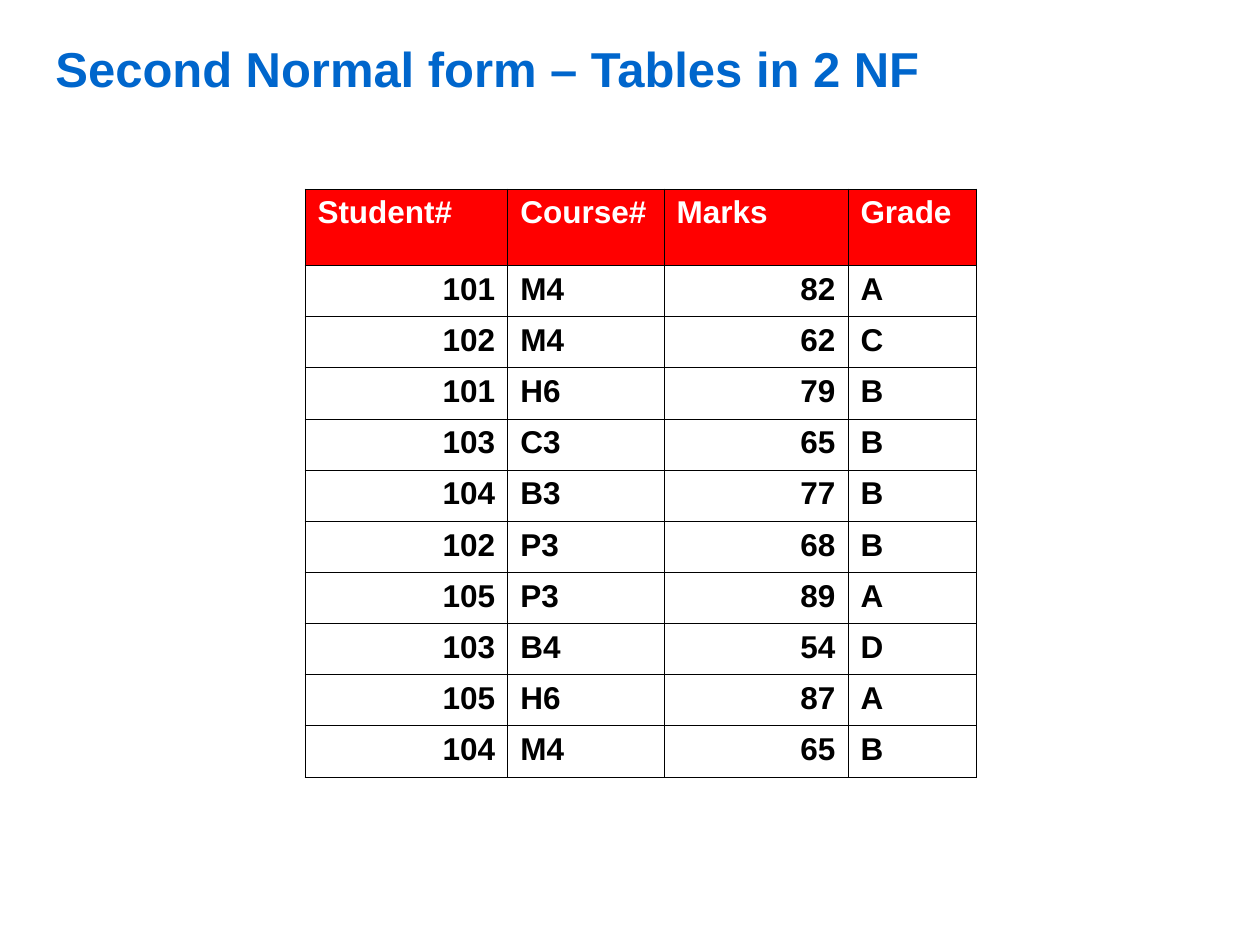
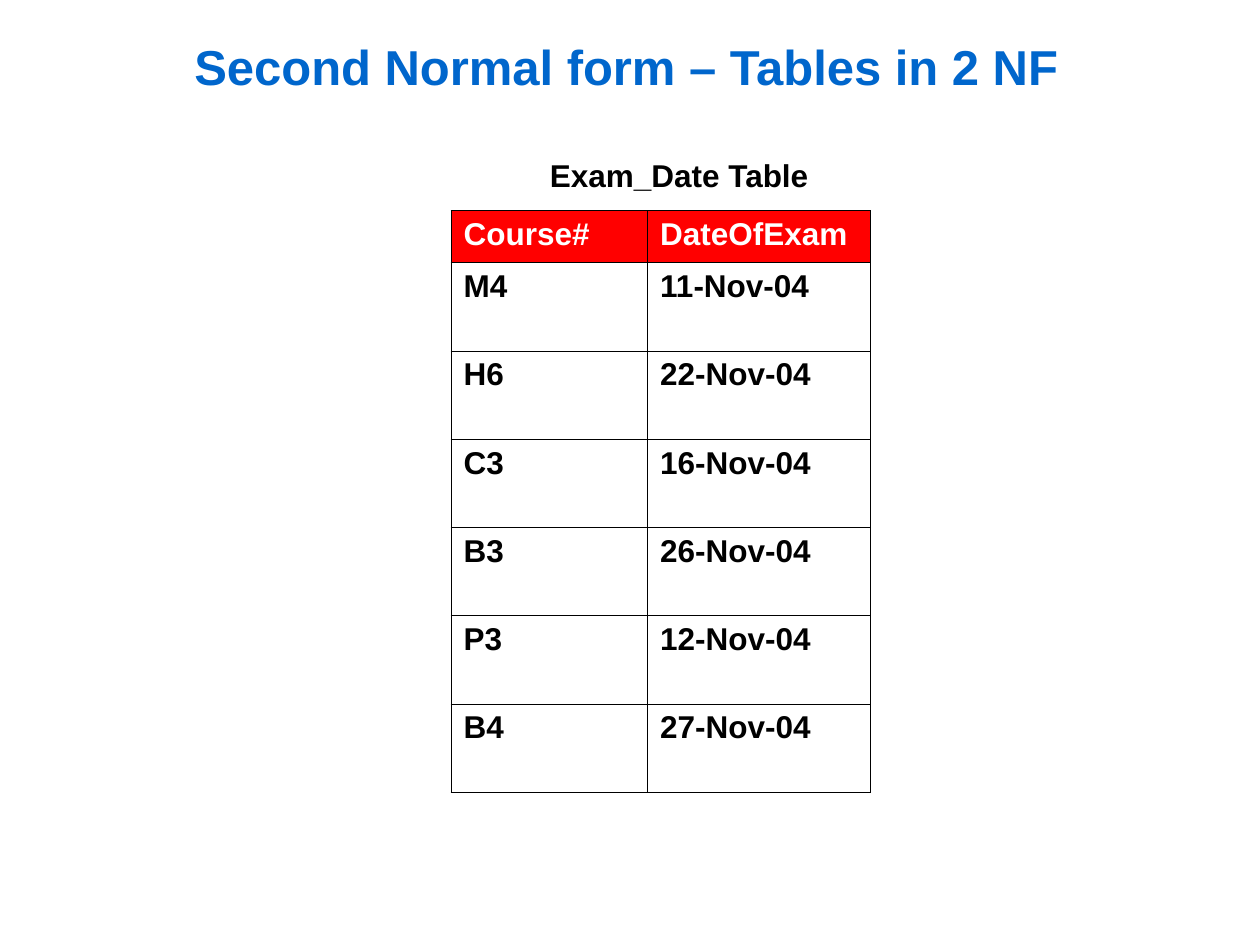
import dataclasses

import lxml.etree
import pptx
import pptx.dml.color
import pptx.enum.text
import pptx.oxml.ns
import pptx.util

ALIGN = pptx.enum.text.PP_ALIGN


@dataclasses.dataclass(frozen=True)
class Theme:
    font: str = "Arial"
    heading: str = "0066CC"
    header_fill: str = "FF0000"
    header_text: str = "FFFFFF"
    ink: str = "000000"
    heading_size: int = 28
    body_size: int = 18
    rule_width: float = 0.45
    grid_columns: int = 100
    grid_rows: int = 75


@dataclasses.dataclass(frozen=True)
class Box:
    left: float
    top: float
    width: float
    height: float


THEME = Theme()
SLIDE_WIDTH = pptx.util.Inches(10)
SLIDE_HEIGHT = pptx.util.Inches(7.5)
HEADING = "Second Normal form – Tables in 2 NF"

MARKS_HEADER = ("Student#", "Course#", "Marks", "Grade")
MARKS = (
    ("101", "M4", "82", "A"),
    ("102", "M4", "62", "C"),
    ("101", "H6", "79", "B"),
    ("103", "C3", "65", "B"),
    ("104", "B3", "77", "B"),
    ("102", "P3", "68", "B"),
    ("105", "P3", "89", "A"),
    ("103", "B4", "54", "D"),
    ("105", "H6", "87", "A"),
    ("104", "M4", "65", "B"),
)
EXAM_HEADER = ("Course#", "DateOfExam")
EXAM_DATES = (
    ("M4", "11-Nov-04"),
    ("H6", "22-Nov-04"),
    ("C3", "16-Nov-04"),
    ("B3", "26-Nov-04"),
    ("P3", "12-Nov-04"),
    ("B4", "27-Nov-04"),
)


def across(columns):
    return round(SLIDE_WIDTH * columns / THEME.grid_columns)


def down(rows):
    return round(SLIDE_HEIGHT * rows / THEME.grid_rows)


def placed(box):
    return across(box.left), down(box.top), across(box.width), down(box.height)


def write(paragraph, text, *, size=THEME.body_size, color=THEME.ink,
          align=ALIGN.LEFT, before=0, indent=0):
    paragraph.alignment = align
    paragraph.space_before = pptx.util.Pt(before)
    if indent:
        paragraph._p.get_or_add_pPr().set("marL", str(across(indent)))
    run = paragraph.add_run()
    run.text = text
    run.font.name = THEME.font
    run.font.size = pptx.util.Pt(size)
    run.font.bold = True
    run.font.color.rgb = pptx.dml.color.RGBColor.from_string(color)


def rule_cell(cell):
    properties = cell._tc.get_or_add_tcPr()
    for side in ("a:lnL", "a:lnR", "a:lnT", "a:lnB"):
        line = lxml.etree.SubElement(properties, pptx.oxml.ns.qn(side))
        line.set("w", str(pptx.util.Pt(THEME.rule_width)))
        fill = lxml.etree.SubElement(line, pptx.oxml.ns.qn("a:solidFill"))
        ink = lxml.etree.SubElement(fill, pptx.oxml.ns.qn("a:srgbClr"))
        ink.set("val", THEME.ink)


def place_heading(slide, box, align=ALIGN.LEFT, caption=None):
    heading = slide.shapes.title
    heading.left, heading.top, heading.width, heading.height = placed(box)
    frame = heading.text_frame
    frame.word_wrap = True
    frame.auto_size = pptx.enum.text.MSO_AUTO_SIZE.NONE
    frame.vertical_anchor = pptx.enum.text.MSO_ANCHOR.MIDDLE
    frame.margin_top = frame.margin_bottom = 0
    write(frame.paragraphs[0], HEADING, size=THEME.heading_size,
          color=THEME.heading, align=align)
    if caption:
        frame.margin_left, frame.margin_right = across(0.5), across(1.5)
        write(frame.add_paragraph(), caption, align=align, before=35, indent=8.4)


def place_records(slide, box, header, records, column_shares, header_share):
    records_table = slide.shapes.add_table(
        len(records) + 1, len(header), *placed(box)).table
    records_table.first_row = records_table.horz_banding = False
    for column, share in zip(records_table.columns, column_shares):
        column.width = round(across(box.width) * share / sum(column_shares))
    record_share = (1 - header_share) / len(records)
    for index, values in enumerate((header, *records)):
        is_header = index == 0
        share = header_share if is_header else record_share
        records_table.rows[index].height = round(down(box.height) * share)
        for position, value in enumerate(values):
            cell = records_table.cell(index, position)
            rule_cell(cell)
            if is_header:
                cell.fill.solid()
                cell.fill.fore_color.rgb = pptx.dml.color.RGBColor.from_string(
                    THEME.header_fill)
            else:
                cell.fill.background()
            write(cell.text_frame.paragraphs[0], value,
                  color=THEME.header_text if is_header else THEME.ink,
                  align=ALIGN.RIGHT if value.isdigit() else ALIGN.JUSTIFY)


def build_marks_slide(slide):
    place_heading(slide, Box(3.4, 2.6, 93.8, 5.6))
    place_records(slide, Box(24.2, 15, 53.3, 46.7), MARKS_HEADER, MARKS,
                  column_shares=(161, 124, 146, 102), header_share=0.13)


def build_exam_slide(slide):
    place_heading(slide, Box(3.3, 3.3, 93.8, 11.7), align=ALIGN.CENTER,
                  caption="Exam_Date Table")
    place_records(slide, Box(35.8, 16.7, 33.3, 46.2), EXAM_HEADER, EXAM_DATES,
                  column_shares=(156, 177), header_share=0.09)


def main():
    deck = pptx.Presentation()
    deck.slide_width, deck.slide_height = SLIDE_WIDTH, SLIDE_HEIGHT
    title_only = deck.slide_layouts.get_by_name("Title Only")
    for build in (build_marks_slide, build_exam_slide):
        build(deck.slides.add_slide(title_only))
    deck.save("out.pptx")


if __name__ == "__main__":
    main()
